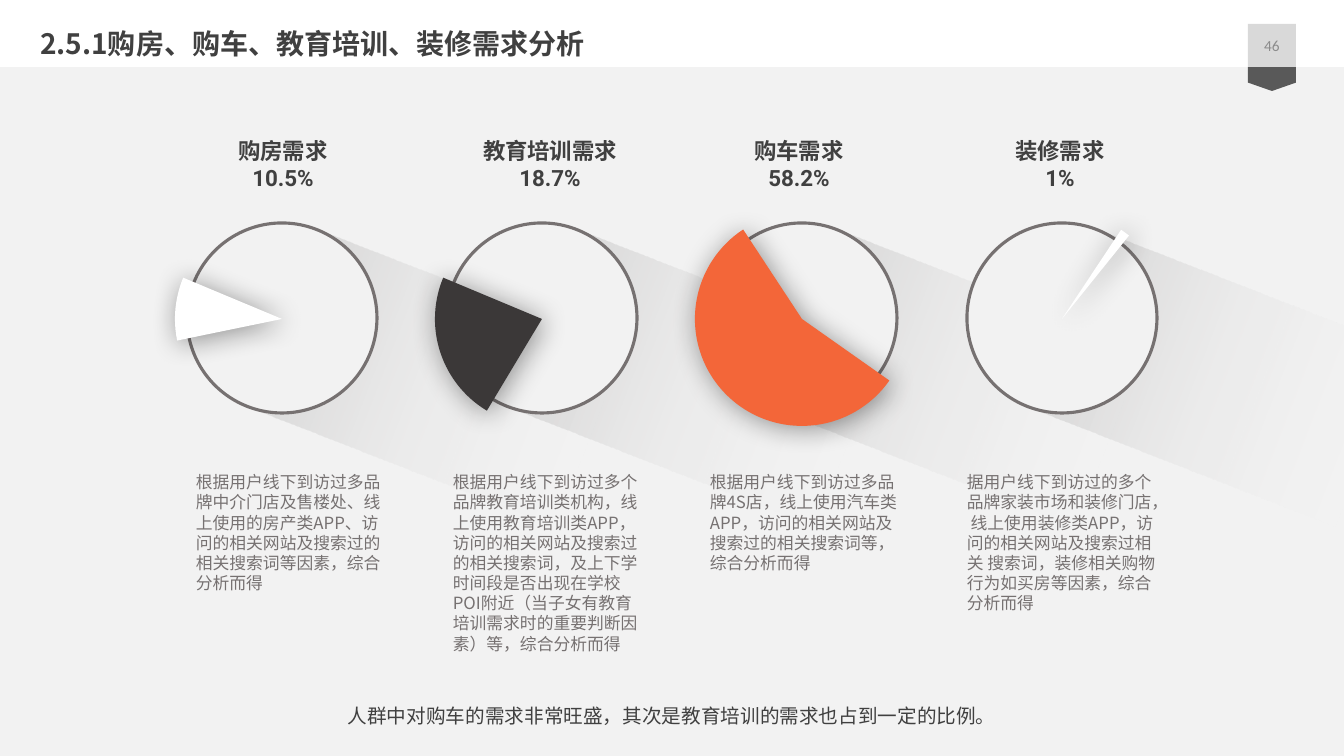
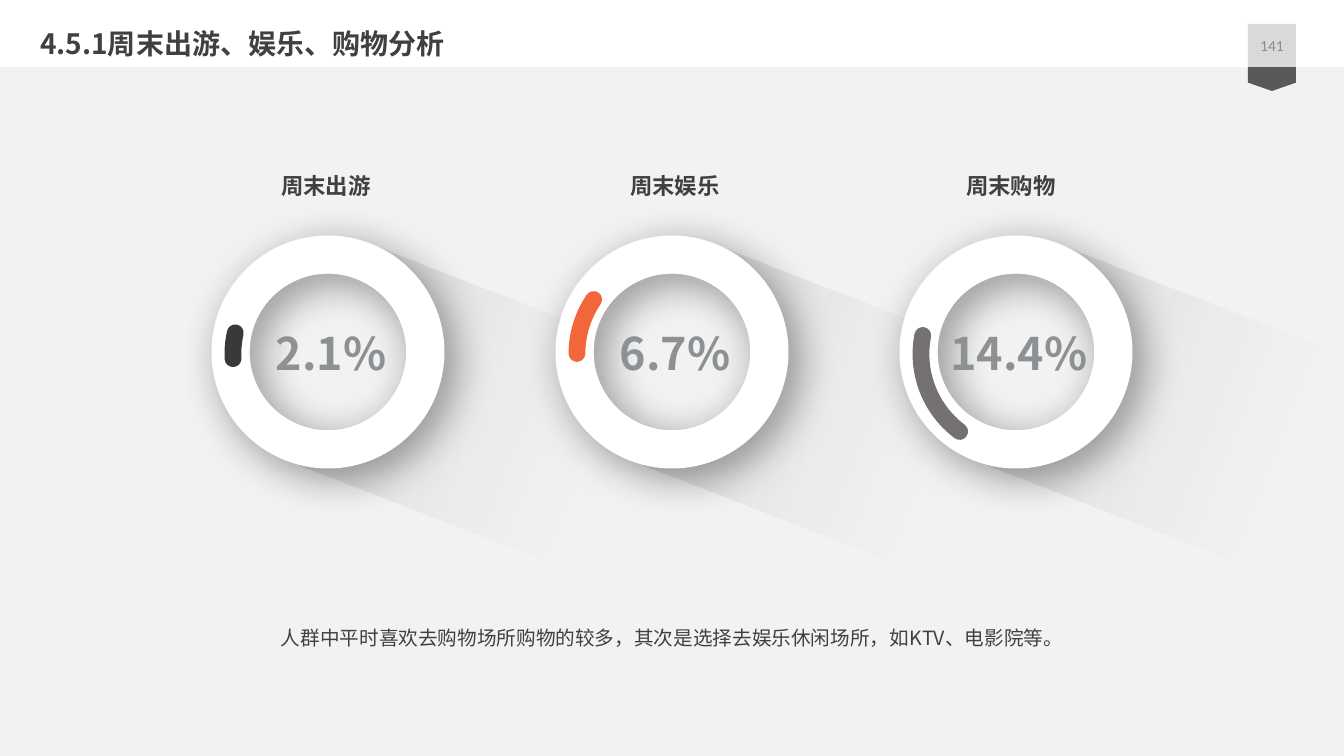
from math import cos, pi, radians, sin

from pptx import Presentation
from pptx.dml.color import RGBColor
from pptx.enum.shapes import MSO_SHAPE
from pptx.enum.text import MSO_ANCHOR, MSO_AUTO_SIZE, PP_ALIGN
from pptx.oxml import parse_xml
from pptx.oxml.ns import nsdecls, qn
from pptx.util import Emu, Pt

EMU_PER_PX = 914400 / 100.8
SLIDE_WIDTH, SLIDE_HEIGHT = 1344, 756

FONT = "Noto Sans CJK SC"
INK, GRAY, DARK, ORANGE = "404040", "767171", "3B3838", "F36639"
PAPER, WHITE = "F2F2F2", "FFFFFF"
CAST_ROTATION = 291.2
CAST_ANGLE = radians(CAST_ROTATION + 90)


def px(value):
    return Emu(round(value * EMU_PER_PX))


def color(hex_string):
    return RGBColor.from_string(hex_string)


def add_run(paragraph, text, size, hex_string=INK, bold=False, font=FONT):
    run = paragraph.add_run()
    run.text = text
    run.font.size = Pt(size)
    run.font.bold = bold
    run.font.color.rgb = color(hex_string)
    run.font.name = font
    east_asian = parse_xml(f'<a:ea {nsdecls("a")} typeface="{font}"/>')
    run.font._element.append(east_asian)


def add_text_box(slide, box, align=PP_ALIGN.CENTER):
    """Add a wrapping text box and return its text frame."""
    frame = slide.shapes.add_textbox(*map(px, box)).text_frame
    frame.word_wrap = True
    frame.paragraphs[0].alignment = align
    return frame


def style_shape(shape, fill=None, line=None, line_width=1):
    shape.shadow.inherit = False
    if fill:
        shape.fill.solid()
        shape.fill.fore_color.rgb = color(fill)
    else:
        shape.fill.background()
    if line:
        shape.line.color.rgb = color(line)
        shape.line.width = Pt(line_width)
    else:
        shape.line.fill.background()


def add_preset(slide, kind, box, **style):
    shape = slide.shapes.add_shape(kind, *map(px, box))
    style_shape(shape, **style)
    return shape


def set_sweep(shape, start, end):
    """Set the start and end angle, in degrees, of a pie or an arc."""
    for index, angle in enumerate((start, end)):
        shape.adjustments[index] = angle * 0.6


def centered_square(center_x, center_y, size):
    return center_x - size / 2, center_y - size / 2, size, size


def add_soft_shadow(shape, blur, distance):
    effects = shape._element.spPr.find(qn("a:effectLst"))
    effects.append(parse_xml(
        f'<a:outerShdw {nsdecls("a")} blurRad="{Pt(blur)}" dist="{Pt(distance)}" '
        'dir="2700000" algn="tl" rotWithShape="0">'
        '<a:srgbClr val="000000"><a:alpha val="40000"/></a:srgbClr></a:outerShdw>'))


def add_cast_shadow(slide, center, width, length, short_length, start, hole=0):
    """Add a long fading shadow that leaves a disc towards the lower right."""
    points = [(0, 0)]
    if hole:
        points += [(width / 2 - hole * cos(step * pi / 24),
                    max(0, hole * sin(step * pi / 24) - start))
                   for step in range(25)]
    points += [(width, 0), (width, short_length), (0, length)]

    middle = start + length / 2
    left = center[0] + middle * cos(CAST_ANGLE) - width / 2
    top = center[1] + middle * sin(CAST_ANGLE) - length / 2
    builder = slide.shapes.build_freeform(*points[0], scale=EMU_PER_PX)
    builder.add_line_segments(points[1:], close=True)
    shape = builder.convert_to_shape(px(left), px(top))
    shape.rotation = CAST_ROTATION
    style_shape(shape)

    stops = "".join(
        f'<a:gs pos="{position}"><a:srgbClr val="{tone}"><a:alpha val="{alpha}"/>'
        '</a:srgbClr></a:gs>'
        for position, tone, alpha in ((0, DARK, 20000), (55000, PAPER, 0)))
    gradient = parse_xml(
        f'<a:gradFill {nsdecls("a")} rotWithShape="1"><a:gsLst>{stops}</a:gsLst>'
        '<a:lin ang="5400000" scaled="0"/></a:gradFill>')
    properties = shape._element.spPr
    properties.replace(properties.find(qn("a:noFill")), gradient)


# Shared frame: background, header band, page tab, title place
def prepare_layout(presentation):
    layout = presentation.slide_layouts[5]
    for placeholder in list(layout.placeholders):
        if placeholder.placeholder_format.idx:
            placeholder.element.getparent().remove(placeholder.element)
    title = layout.placeholders[0]
    title.left, title.top, title.width, title.height = map(px, (30, 21, 1142, 44))
    layout.background.fill.solid()
    layout.background.fill.fore_color.rgb = color(PAPER)
    return layout


def move_frame_to_layout(slide, layout):
    ribbon = add_preset(slide, MSO_SHAPE.PENTAGON, (1260, 55, 24, 48), fill="595959")
    ribbon.rotation = 90
    ribbon.adjustments[0] = 0.35
    band = add_preset(slide, MSO_SHAPE.RECTANGLE, (0, 0, SLIDE_WIDTH, 67), fill=WHITE)
    tab = add_preset(slide, MSO_SHAPE.RECTANGLE, (1248, 24, 48, 43), fill="D9D9D9")
    for shape in (ribbon, band, tab):
        layout.shapes.element.append(shape.element)


def add_page(presentation, layout, title, number, summary, summary_top):
    slide = presentation.slides.add_slide(layout)
    frame = slide.shapes.title.text_frame
    frame.auto_size = MSO_AUTO_SIZE.NONE
    frame.vertical_anchor = MSO_ANCHOR.TOP
    frame.paragraphs[0].alignment = PP_ALIGN.LEFT
    add_run(frame.paragraphs[0], title, 20, bold=True)

    # Page number
    frame = add_text_box(slide, (1248, 24, 48, 43))
    frame.vertical_anchor = MSO_ANCHOR.MIDDLE
    add_run(frame.paragraphs[0], number, 11, "8C8C8C", font="Calibri")

    # Summary line
    paragraph = add_text_box(slide, (0, summary_top, SLIDE_WIDTH, 41)).paragraphs[0]
    paragraph.line_spacing = Pt(25)
    add_run(paragraph, summary, 14)
    return slide


def add_label(slide, center_x, top, text, value=None):
    frame = add_text_box(slide, (center_x - 118, top, 236, 64 if value else 37))
    add_run(frame.paragraphs[0], text, 16, bold=True)
    if value:
        paragraph = frame.add_paragraph()
        paragraph.alignment = PP_ALIGN.CENTER
        add_run(paragraph, value, 16, bold=True, font="Roboto")


# Pie column of the demand slide
def add_demand(slide, center, label, value, label_shift, fill, sweep):
    center_x, center_y = center
    add_cast_shadow(slide, center, 190, 614, 459, start=-10)
    add_preset(slide, MSO_SHAPE.OVAL, centered_square(center_x, center_y, 190),
               fill=PAPER, line=GRAY, line_width=2.25)
    pie = add_preset(slide, MSO_SHAPE.PIE,
                     centered_square(center_x, center_y + 1, 214), fill=fill)
    set_sweep(pie, *sweep)
    add_soft_shadow(pie, 20, 3)
    add_label(slide, center_x + label_shift, center_y - 186, label, value)


# Ring column of the weekend slide
def add_ring(slide, center, label, value, label_shift, tone, sweep):
    center_x, center_y = center
    add_cast_shadow(slide, center, 232, 582, 434, start=9, hole=91)
    ring = add_preset(slide, MSO_SHAPE.DONUT,
                      centered_square(center_x, center_y, 233), fill=WHITE)
    ring.adjustments[0] = 0.164
    add_soft_shadow(ring, 30, 9)
    arc = add_preset(slide, MSO_SHAPE.ARC,
                     centered_square(center_x + 2, center_y + 2, 194),
                     line=tone, line_width=12)
    set_sweep(arc, *sweep)
    arc.line._get_or_add_ln().set("cap", "rnd")
    frame = add_text_box(slide, (center_x - 77, center_y - 31, 160, 64))
    add_run(frame.paragraphs[0], value, 32, "8D9193", bold=True)
    add_label(slide, center_x + label_shift, center_y - 185, label)


DEMANDS = [
    ("购房需求", "10.5%", 1, WHITE, (168.34, 202.66)),
    ("教育培训需求", "18.7%", 8, DARK, (120.96, 202.66)),
    ("购车需求", "58.2%", -3, ORANGE, (35.17, 236.68)),
    ("装修需求", "1%", -2, WHITE, (303.58, 308.82)),
]
DESCRIPTIONS = [
    "根据用户线下到访过多品牌中介门店及售楼处、线上使用的房产类APP、"
    "访问的相关网站及搜索过的相关搜索词等因素，综合分析而得",
    "根据用户线下到访过多个品牌教育培训类机构，线上使用教育培训类APP，"
    "访问的相关网站及搜索过的相关搜索词，及上下学时间段是否出现在学校POI附近"
    "（当子女有教育培训需求时的重要判断因素）等，综合分析而得",
    "根据用户线下到访过多品牌4S店，线上使用汽车类APP，"
    "访问的相关网站及搜索过的相关搜索词等，综合分析而得",
    "据用户线下到访过的多个品牌家装市场和装修门店， 线上使用装修类APP，"
    "访问的相关网站及搜索过相关 搜索词，装修相关购物行为如买房等因素，综合分析而得",
]
RINGS = [
    ("周末出游", "2.1%", -2, DARK, (177.22, 192.55)),
    ("周末娱乐", "6.7%", 3, ORANGE, (180.29, 214.14)),
    ("周末购物", "14.4%", -5, GRAY, (126.94, 190.99)),
]


def main():
    presentation = Presentation()
    presentation.slide_width = px(SLIDE_WIDTH)
    presentation.slide_height = px(SLIDE_HEIGHT)
    layout = prepare_layout(presentation)

    # Demand slide
    slide = add_page(presentation, layout, "2.5.1购房、购车、教育培训、装修需求分析", "46",
                     "人群中对购车的需求非常旺盛，其次是教育培训的需求也占到一定的比例。", 687)
    move_frame_to_layout(slide, layout)
    for index, demand in enumerate(DEMANDS):
        add_demand(slide, (282 + 260 * index, 318), *demand)
    for index, description in enumerate(DESCRIPTIONS):
        frame = add_text_box(slide, (186 + 257 * index, 467, 215, 194), PP_ALIGN.LEFT)
        add_run(frame.paragraphs[0], description, 12, GRAY)

    # Weekend slide
    slide = add_page(presentation, layout, "4.5.1周末出游、娱乐、购物分析", "141",
                     "人群中平时喜欢去购物场所购物的较多，其次是选择去娱乐休闲场所，"
                     "如KTV、电影院等。", 609)
    for index, ring in enumerate(RINGS):
        add_ring(slide, (328 + 344 * index, 352), *ring)

    presentation.save("out.pptx")


if __name__ == "__main__":
    main()
